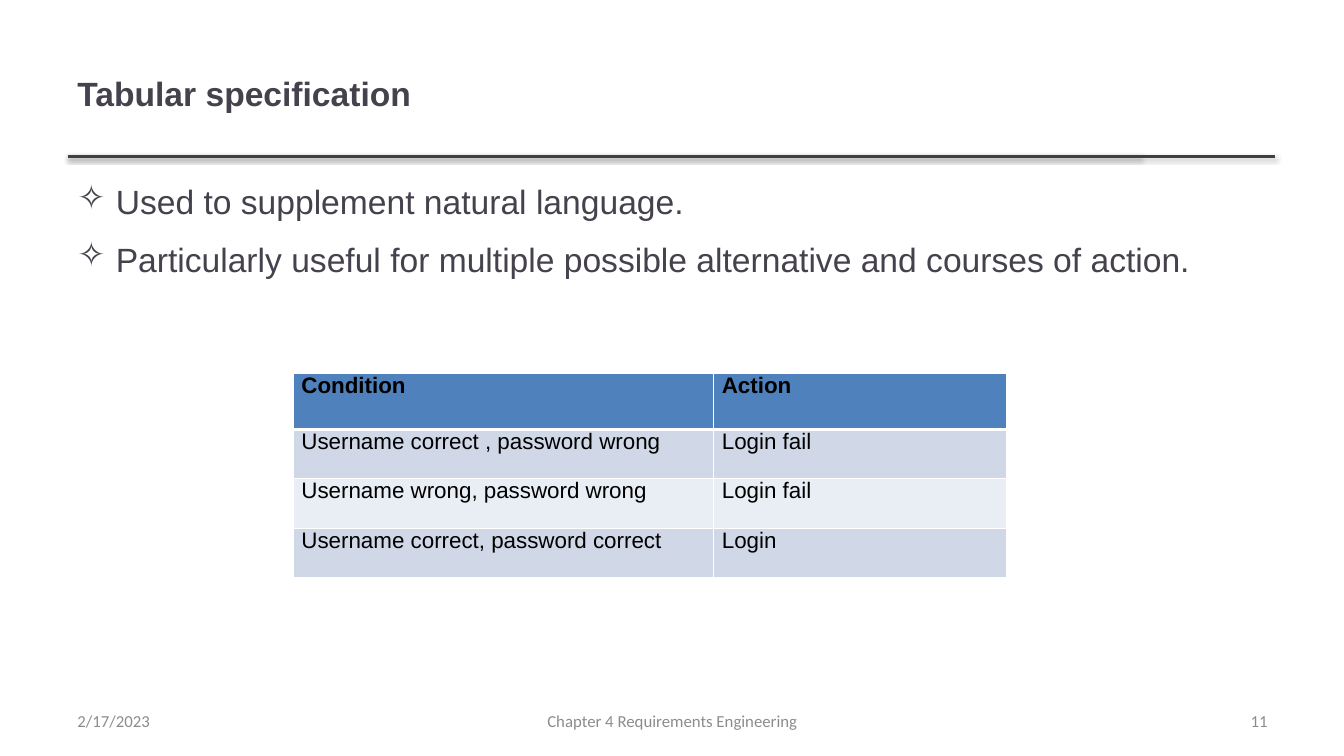
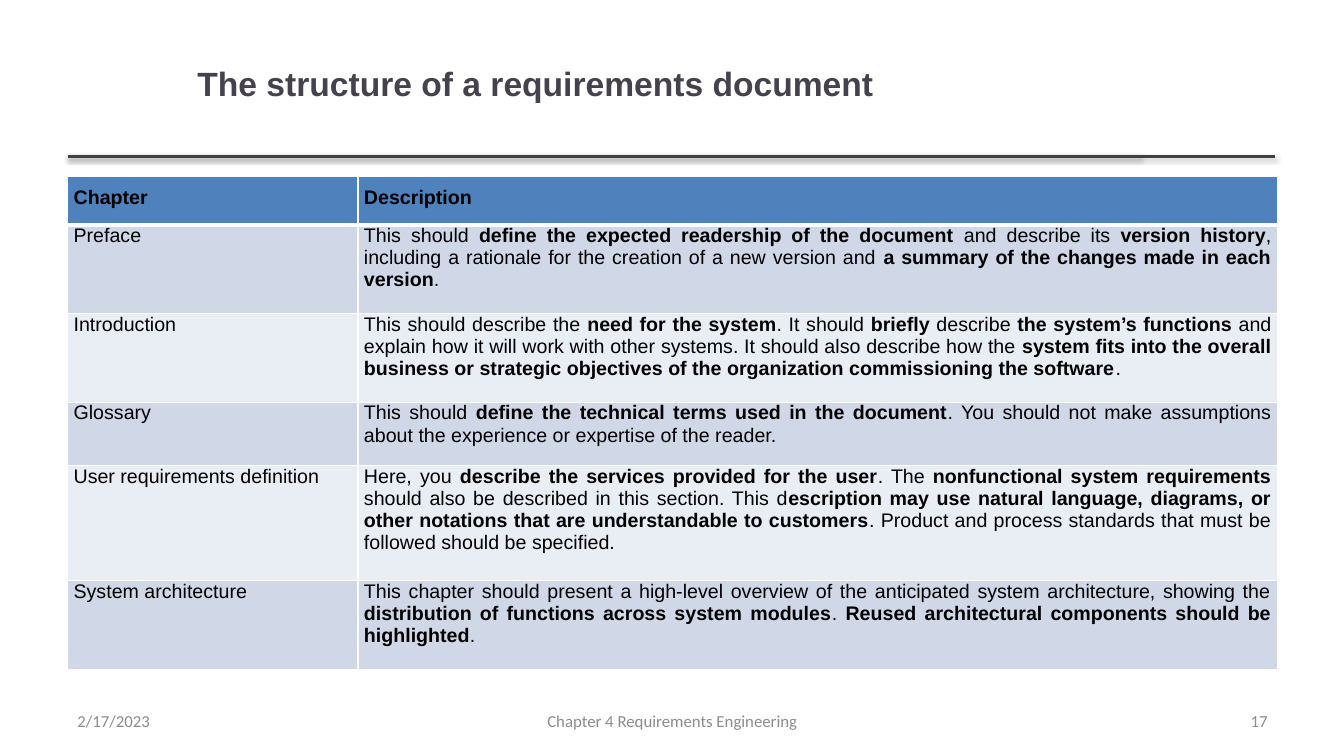
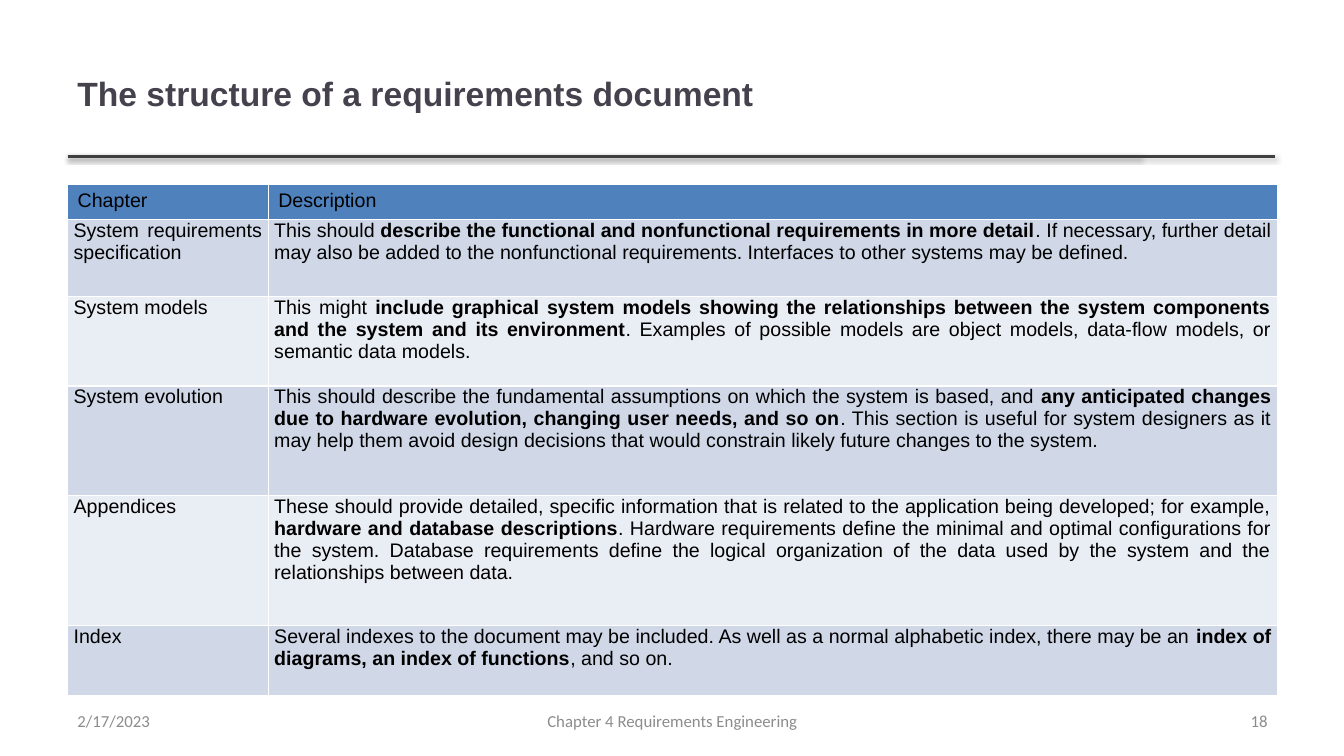
"""Build three slides on requirements specification and document structure."""
from dataclasses import dataclass

from lxml import etree
from pptx import Presentation
from pptx.dml.color import RGBColor
from pptx.enum.shapes import MSO_CONNECTOR
from pptx.enum.text import MSO_ANCHOR, PP_ALIGN
from pptx.oxml import parse_xml
from pptx.oxml.ns import nsdecls, qn
from pptx.util import Inches, Pt

LEFT, CENTER, RIGHT, JUSTIFY = PP_ALIGN.LEFT, PP_ALIGN.CENTER, PP_ALIGN.RIGHT, PP_ALIGN.JUSTIFY
TOP, MIDDLE = MSO_ANCHOR.TOP, MSO_ANCHOR.MIDDLE
STRAIGHT = MSO_CONNECTOR.STRAIGHT


@dataclass(frozen=True)
class Theme:
    """Colours, fonts and type sizes of the deck."""
    ink: str = "46424D"
    rule: str = "404040"
    muted: str = "8C8C8C"
    cell_text: str = "000000"
    border: str = "FFFFFF"
    header: str = "4F81BD"
    bands: tuple = ("D0D8E8", "E9EDF4")
    text_font: str = "Arial"
    footer_font: str = "Calibri"
    title_size: int = 24
    body_size: int = 24
    footer_size: int = 12


def apply(target, values):
    """Set each named attribute of the target."""
    for name, value in values.items():
        setattr(target, name, value)


class Deck:
    """Hold the theme and current slide, and draw each kind of element."""

    def __init__(self, theme):
        self.theme = theme
        self.presentation = Presentation()
        apply(self.presentation, {"slide_width": Inches(13.33), "slide_height": Inches(7.5)})
        self.slide = None

    def start(self, title, number, title_box=(0.67, 0.3, 10.63, 1.25)):
        """Add a slide with its rule, title and footer."""
        theme = self.theme
        self.slide = self.presentation.slides.add_slide(self.presentation.slide_layouts[6])
        for end in (11.32, 12.65):
            self.rule(0.67, end, 1.55)
        heading = self.text(title_box, MIDDLE)
        self.add_words(heading.paragraphs[0], title, theme.title_size, theme.ink, bold=True)
        footers = (("2/17/2023", 0.67, 3.11, LEFT),
                   ("Chapter 4 Requirements Engineering", 4.56, 4.22, CENTER),
                   (str(number), 9.56, 3.11, RIGHT))
        for words, left, width, align in footers:
            footer = self.text((left, 6.95, width, 0.4), MIDDLE).paragraphs[0]
            footer.alignment = align
            self.add_words(footer, words, theme.footer_size, theme.muted, font=theme.footer_font)

    def rule(self, start, end, top):
        """Draw a horizontal rule with a soft shadow."""
        rule = self.slide.shapes.add_connector(
            STRAIGHT, Inches(start), Inches(top), Inches(end), Inches(top))
        rule.line.width = Pt(2)
        rule.line.color.rgb = RGBColor.from_string(self.theme.rule)
        effects = etree.SubElement(rule._element.spPr, qn("a:effectLst"))
        effects.append(parse_xml(
            f'<a:outerShdw {nsdecls("a")} blurRad="{Pt(3.1)}" dist="{Pt(1.6)}" dir="5400000" '
            'rotWithShape="0"><a:srgbClr val="000000"><a:alpha val="38000"/>'
            '</a:srgbClr></a:outerShdw>'))

    def text(self, box, anchor):
        """Add a wrapping text box and return its frame."""
        frame = self.slide.shapes.add_textbox(*map(Inches, box)).text_frame
        apply(frame, {"word_wrap": True, "vertical_anchor": anchor})
        return frame

    def add_words(self, paragraph, words, size, color, bold=False, font=None):
        """Add words in which ** switches bold on and off."""
        for index, part in enumerate(words.split("**")):
            if part:
                run = paragraph.add_run()
                run.text = part
                apply(run.font, {"size": Pt(size), "name": font or self.theme.text_font,
                                 "bold": bold or index % 2 == 1})
                run.font.color.rgb = RGBColor.from_string(color)

    def bullets(self, box, points):
        """Add a bulleted list."""
        frame = self.text(box, TOP)
        for index, point in enumerate(points):
            paragraph = frame.add_paragraph() if index else frame.paragraphs[0]
            properties = paragraph._p.get_or_add_pPr()
            properties.set("marL", str(Inches(0.38)))
            properties.set("indent", str(-Inches(0.38)))
            etree.SubElement(properties, qn("a:buChar")).set("char", "✧")
            apply(paragraph, {"space_before": Pt(6 if index else 0), "space_after": Pt(6)})
            self.add_words(paragraph, point, self.theme.body_size, self.theme.ink)

    def borders(self, cell, top, bottom):
        """Outline a cell with the given top and bottom widths."""
        properties = cell._tc.get_or_add_tcPr()
        widths = {"lnL": 1, "lnR": 1, "lnT": top, "lnB": bottom}
        for index, (side, width) in enumerate(widths.items()):
            properties.insert(index, parse_xml(
                f'<a:{side} {nsdecls("a")} w="{Pt(width)}"><a:solidFill>'
                f'<a:srgbClr val="{self.theme.border}"/></a:solidFill></a:{side}>'))

    def table(self, origin, widths, heights, rows, size, side,
              header_margins, header_bold=True, header_rule=3):
        """Add a banded table whose first row is the header."""
        theme = self.theme
        extent = (sum(widths), sum(heights))
        table = self.slide.shapes.add_table(
            len(rows), len(widths), *map(Inches, (*origin, *extent))).table
        apply(table, {"first_row": False, "horz_banding": False})
        for column, width in zip(table.columns, widths):
            column.width = Inches(width)
        for row, height in zip(table.rows, heights):
            row.height = Inches(height)
        for row_index, row in enumerate(rows):
            is_header = row_index == 0
            margins = header_margins if is_header else (side, 0, side, 0.1)
            fill = theme.header if is_header else theme.bands[(row_index - 1) % 2]
            for column_index, words in enumerate(row):
                cell = table.cell(row_index, column_index)
                names = ("margin_left", "margin_top", "margin_right", "margin_bottom")
                apply(cell, dict(zip(names, map(Inches, margins))))
                cell.fill.solid()
                cell.fill.fore_color.rgb = RGBColor.from_string(fill)
                self.borders(cell, header_rule if row_index == 1 else 1,
                             header_rule if is_header else 1)
                paragraph = cell.text_frame.paragraphs[0]
                paragraph.alignment = JUSTIFY
                self.add_words(paragraph, words, size, theme.cell_text,
                               is_header and header_bold)


LOGIN_RULES = (
    ("Condition", "Action"),
    ("Username correct , password wrong", "Login fail"),
    ("Username wrong, password wrong", "Login fail"),
    ("Username correct, password correct", "Login"),
)
CHAPTER_HEADER = ("Chapter", "Description")
FIRST_CHAPTERS = (
    CHAPTER_HEADER,
    ("Preface",
     "This should **define the expected readership of the document **and describe its "
     "**version history**, including a rationale for the creation of a new version and "
     "**a summary of the changes made in each version**."),
    ("Introduction",
     "This should describe the **need for the system**. It should **briefly** describe "
     "**the system’s functions **and explain how it will work with other systems. It should "
     "also describe how the **system fits into the overall business or strategic objectives "
     "of the organization commissioning the software**."),
    ("Glossary",
     "This should **define the technical terms used in the document**. You should not make "
     "assumptions about the experience or expertise of the reader."),
    ("User requirements definition",
     "Here, you **describe the services provided for the user**. The **nonfunctional system "
     "requirements **should also be described in this section. This d**escription may use "
     "natural language, diagrams, or other notations that are understandable to customers**. "
     "Product and process standards that must be followed should be specified."),
    ("System architecture",
     "This chapter should present a high-level overview of the anticipated system "
     "architecture, showing the **distribution of functions across system modules**. "
     "**Reused architectural components should be highlighted**."),
)
LAST_CHAPTERS = (
    CHAPTER_HEADER,
    ("System requirements specification",
     "This should **describe the functional and nonfunctional requirements in more detail**. "
     "If necessary, further detail may also be added to the nonfunctional requirements. "
     "Interfaces to other systems may be defined."),
    ("System models",
     "This might **include graphical system models showing the relationships between the "
     "system components and the system and its environment**. Examples of possible models "
     "are object models, data-flow models, or semantic data models."),
    ("System evolution",
     "This should describe the fundamental assumptions on which the system is based, and "
     "**any anticipated changes due to hardware evolution, changing user needs, and so on**. "
     "This section is useful for system designers as it may help them avoid design decisions "
     "that would constrain likely future changes to the system."),
    ("Appendices",
     "These should provide detailed, specific information that is related to the application "
     "being developed; for example, **hardware and database descriptions**. Hardware "
     "requirements define the minimal and optimal configurations for the system. Database "
     "requirements define the logical organization of the data used by the system and the "
     "relationships between data."),
    ("Index",
     "Several indexes to the document may be included. As well as a normal alphabetic index, "
     "there may be an **index of diagrams, an index of functions**, and so on."),
)
STRUCTURE_TITLE = "The structure of a requirements document"


def main():
    """Build the slides and save them."""
    deck = Deck(Theme())

    deck.start("Tabular specification", 11)
    deck.bullets((0.67, 1.75, 12, 4.95), (
        "Used to supplement natural language.",
        "Particularly useful for multiple possible alternative and courses of action."))
    deck.table((2.91, 3.7), (4.17, 2.9), (0.56, 0.49, 0.49, 0.49), LOGIN_RULES,
               size=16, side=0.08, header_margins=(0.08, 0, 0.08, 0.1))

    deck.start(STRUCTURE_TITLE, 17, title_box=(1.86, 0.23, 8.06, 1.19))
    deck.table((0.67, 1.75), (2.88, 9.12), (0.48, 0.88, 0.88, 0.63, 1.14, 0.88),
               FIRST_CHAPTERS, size=14, side=0.06, header_margins=(0.06, 0.1, 0.06, 0.1))

    deck.start(STRUCTURE_TITLE, 18)
    deck.table((0.67, 1.83), (1.99, 10.01), (0.35, 0.76, 0.89, 1.09, 1.29, 0.69),
               LAST_CHAPTERS, size=14, side=0.06, header_margins=(0.1, 0.05, 0.1, 0.05),
               header_bold=False, header_rule=1)

    deck.presentation.save("out.pptx")


if __name__ == "__main__":
    main()
